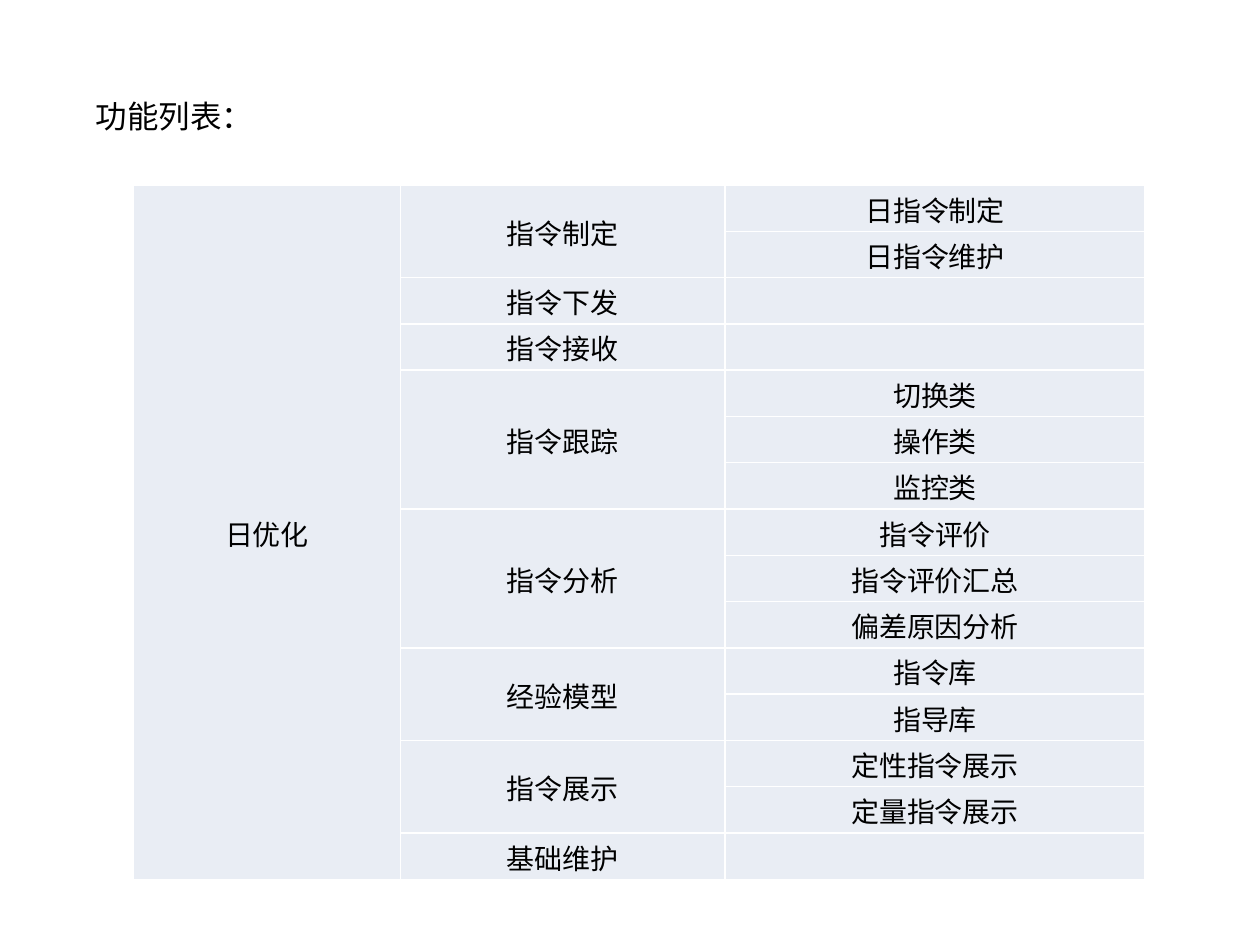
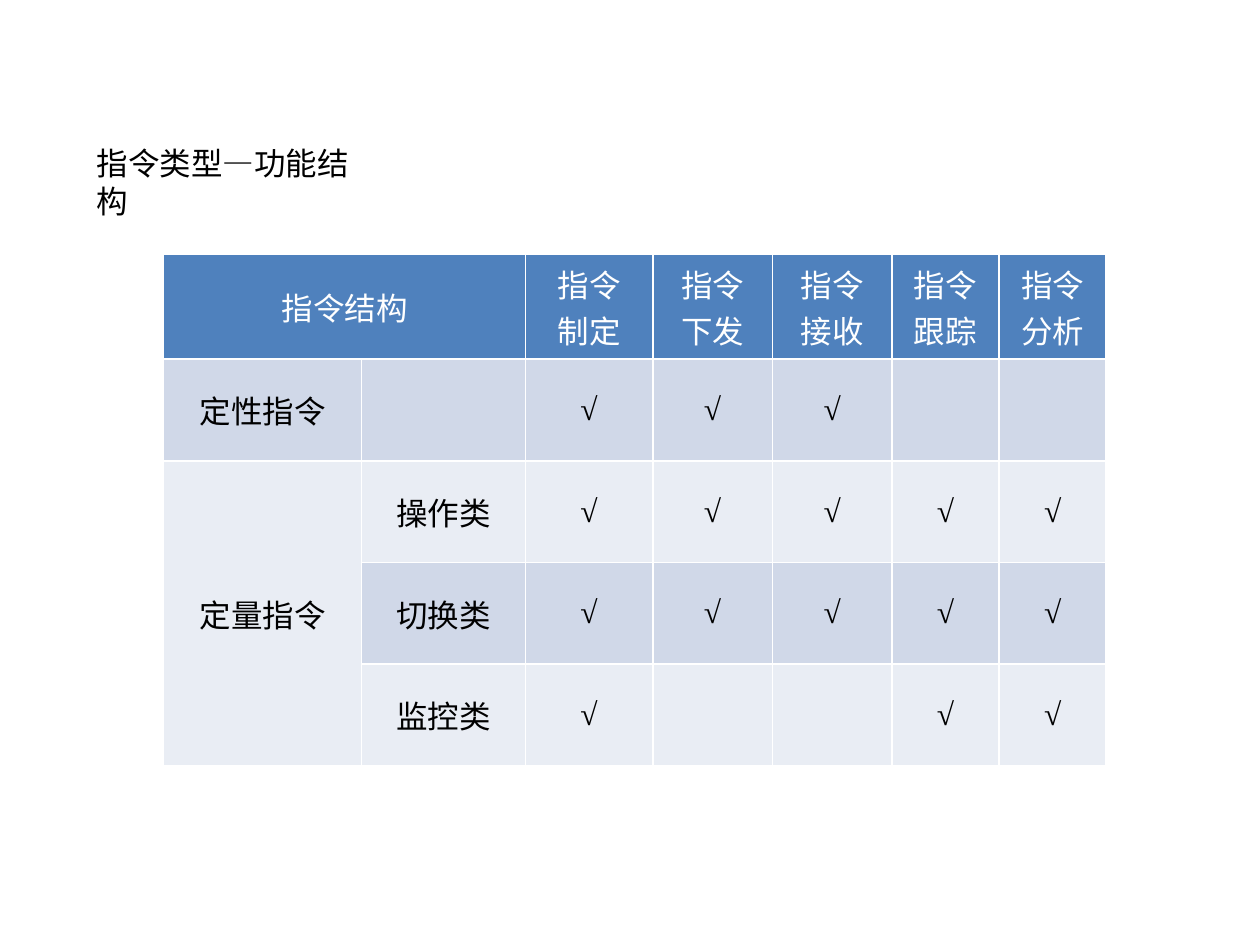
from pptx import Presentation
from pptx.dml.color import RGBColor
from pptx.enum.text import MSO_ANCHOR, MSO_AUTO_SIZE, PP_ALIGN
from pptx.util import Cm, Pt

MID, TOP = MSO_ANCHOR.MIDDLE, MSO_ANCHOR.TOP
LEFT, CENTER = PP_ALIGN.LEFT, PP_ALIGN.CENTER
FIXED = MSO_AUTO_SIZE.NONE

BLACK = RGBColor(0x00, 0x00, 0x00)
WHITE = RGBColor(0xFF, 0xFF, 0xFF)
BLUE = RGBColor(0x4F, 0x81, 0xBD)
DARK = RGBColor(0xD0, 0xD8, 0xE8)
PALE = RGBColor(0xE9, 0xED, 0xF4)

MAIN, MATH = "Calibri", "Times New Roman"
TICK = "√"

GROUPS = [
    ("指令制定", ["日指令制定", "日指令维护"]),
    ("指令下发", [""]),
    ("指令接收", [""]),
    ("指令跟踪", ["切换类", "操作类", "监控类"]),
    ("指令分析", ["指令评价", "指令评价汇总", "偏差原因分析"]),
    ("经验模型", ["指令库", "指导库"]),
    ("指令展示", ["定性指令展示", "定量指令展示"]),
    ("基础维护", [""]),
]
STEPS = ["制定", "下发", "接收", "跟踪", "分析"]
KINDS = [
    ("定性指令", "", [1, 1, 1, 0, 0]),
    ("定量指令", "操作类", [1, 1, 1, 1, 1]),
    ("", "切换类", [1, 1, 1, 1, 1]),
    ("", "监控类", [1, 0, 0, 1, 1]),
]


def list_grid():
    grid, spans = [], []
    for name, items in GROUPS:
        first = len(grid)
        grid += [["", "", item] for item in items]
        grid[first][1] = name
        if len(items) > 1:
            spans.append((first, 1, len(grid) - 1, 1))
    grid[0][0] = "日优化"
    spans.append((0, 0, len(grid) - 1, 0))
    return grid, spans


def kind_grid():
    grid = [["指令结构", ""] + ["指令\n" + step for step in STEPS]]
    for name, kind, marks in KINDS:
        grid.append([name, kind] + [TICK if mark else "" for mark in marks])
    return grid, [(0, 0, 0, 1), (2, 0, 4, 0)]


def style(item, form):
    for key, value in form.items():
        setattr(item, key, value)


def write(frame, text, align, size, color):
    frame.text = text
    for para in frame.paragraphs:
        para.alignment = align
        for run in para.runs:
            style(run.font, {"name": MATH if text == TICK else MAIN,
                             "size": Pt(size), "bold": False})
            run.font.color.rgb = color


def add_page(deck, text, left, top, width):
    page = deck.slides.add_slide(deck.slide_layouts[5])
    title = page.shapes.title
    style(title, {"left": Cm(left), "top": Cm(top),
                  "width": Cm(width), "height": Cm(1.02)})
    write(title.text_frame, text, LEFT, 18, BLACK)
    style(title.text_frame, {"word_wrap": False, "auto_size": FIXED,
                             "vertical_anchor": TOP})
    return page


def add_grid(page, data, left, top, cols, rows, fills, size, form, head):
    grid, spans = data
    table = page.shapes.add_table(
        len(rows), len(cols), Cm(left), Cm(top),
        Cm(sum(cols)), Cm(sum(rows))).table
    style(table, {"first_row": head, "horz_banding": False})
    for col, width in zip(table.columns, cols):
        col.width = Cm(width)
    for row, height in zip(table.rows, rows):
        row.height = Cm(height)
    for r, line in enumerate(grid):
        for c, text in enumerate(line):
            cell = table.cell(r, c)
            style(cell, form)
            cell.fill.solid()
            cell.fill.fore_color.rgb = fills[r]
            color = WHITE if head and r == 0 else BLACK
            write(cell.text_frame, text, CENTER, size, color)
    for r, c, last, end in spans:
        table.cell(r, c).merge(table.cell(last, end))


def main():
    deck = Presentation()
    style(deck, {"slide_width": Cm(25.4), "slide_height": Cm(19.05)})

    page = add_page(deck, "功能列表：", 1.68, 1.83, 3.71)
    data = list_grid()
    count = len(data[0])
    tight = {"vertical_anchor": MID, "margin_left": Cm(0.03),
             "margin_right": Cm(0.03), "margin_top": Cm(0.03),
             "margin_bottom": 0}
    add_grid(page, data, 2.69, 3.73, [5.38, 6.55, 8.46],
             [14 / count] * count, [PALE] * count, 16, tight, False)

    page = add_page(deck, "指令类型—功能结构", 1.7, 2.77, 6.22)
    add_grid(page, kind_grid(), 3.3, 5.13,
             [3.99, 3.3, 2.57, 2.41, 2.41, 2.16, 2.16],
             [2.11] + [2.05] * len(KINDS), [BLUE] + [DARK, PALE] * 2,
             18, {"vertical_anchor": MID}, True)

    deck.save("out.pptx")


if __name__ == "__main__":
    main()
